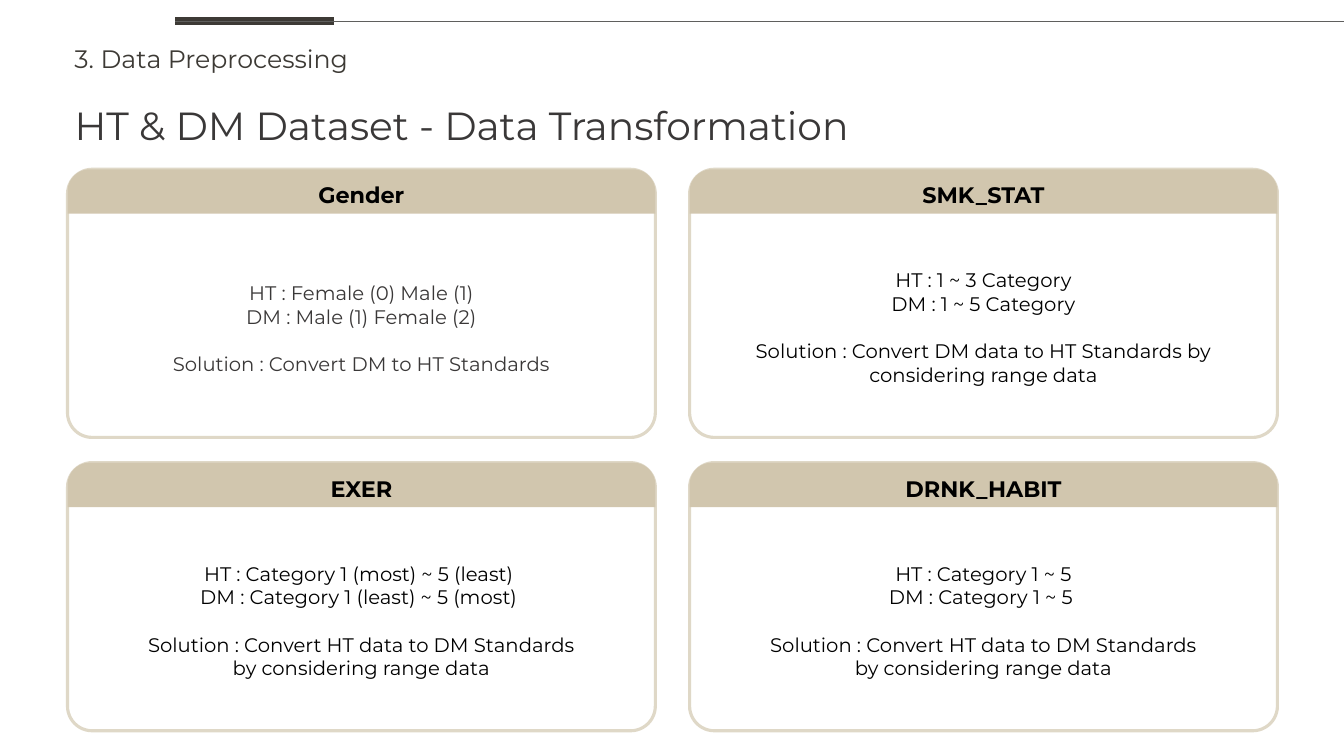
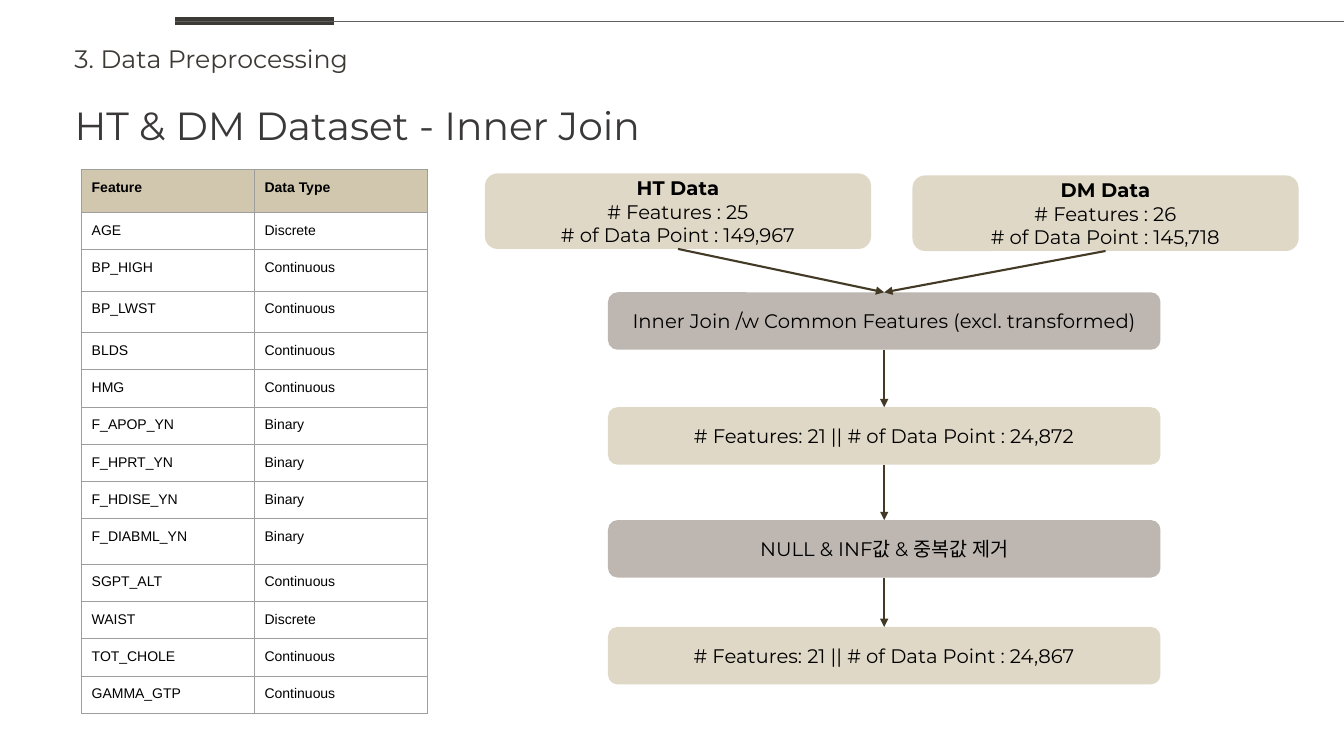
from lxml import etree
from pptx import Presentation
from pptx.dml.color import RGBColor
from pptx.enum import shapes, text
from pptx.oxml import ns
from pptx.util import Inches, Pt


class Theme:
    font, table_font = "Montserrat", "Arial"
    ink, title, dark = "000000", "3A3838", "3D3A35"
    rule, arrow, grid = "5F5F5D", "433A26", "9E9E9E"
    white, sand, tan, taupe = "FFFFFF", "DFD8C7", "D1C6AE", "BEB7B1"
    title_size, section_size, heading_size, body_size, table_size = 28, 18, 16, 14, 10


SECTION = "3. Data Preprocessing"

CARDS = [
    ("Gender", ["HT : Female (0) Male (1)", "DM : Male (1) Female (2)"],
     ["Solution : Convert DM to HT Standards"], Theme.title, 1.04),
    ("SMK_STAT", ["HT : 1 ~ 3 Category", "DM : 1 ~ 5 Category"],
     ["Solution : Convert DM data to HT Standards by considering range data"], Theme.ink, 0.91),
    ("EXER", ["HT : Category 1 (most) ~ 5 (least) ", "DM : Category 1 (least) ~ 5 (most) "],
     ["Solution : Convert HT data to DM Standards", "by considering range data"], Theme.ink, 0.91),
    ("DRNK_HABIT", ["HT : Category 1 ~ 5", "DM : Category 1 ~ 5 "],
     ["Solution : Convert HT data to DM Standards", "by considering range data"], Theme.ink, 0.91),
]

FEATURES = [
    ("Feature", "Data Type"),
    ("AGE", "Discrete"),
    ("BP_HIGH", "Continuous"),
    ("BP_LWST", "Continuous"),
    ("BLDS", "Continuous"),
    ("HMG", "Continuous"),
    ("F_APOP_YN", "Binary"),
    ("F_HPRT_YN", "Binary"),
    ("F_HDISE_YN", "Binary"),
    ("F_DIABML_YN", "Binary"),
    ("SGPT_ALT", "Continuous"),
    ("WAIST", "Discrete"),
    ("TOT_CHOLE", "Continuous"),
    ("GAMMA_GTP", "Continuous"),
]
ROW_HEIGHT = 0.37
TALL_ROWS = {0: 0.43, 2: 0.41, 3: 0.41, 9: 0.45}

DATASETS = [
    (4.81, 1.72, ["HT Data", "# Features : 25", "# of Data Point : 149,967"]),
    (9.05, 1.74, ["DM Data", "# Features : 26", "# of Data Point : 145,718"]),
]
STEPS = [
    (2.9, Theme.taupe, "Inner Join /w Common Features (excl. transformed)"),
    (4.04, Theme.sand, "# Features: 21 || # of Data Point : 24,872"),
    (5.16, Theme.taupe, "NULL & INF값 & 중복값 제거"),
    (6.22, Theme.sand, "# Features: 21 || # of Data Point : 24,867"),
]


def rgb(color):
    return RGBColor.from_string(color)


def write_text(frame, lines, size=Theme.body_size, color=Theme.ink, font=Theme.font,
               bold_lines=0, align="CENTER", anchor="MIDDLE", insets=(0.1, 0.1, 0.1, 0.1),
               gap_before=None):
    frame.word_wrap = True
    frame.auto_size = text.MSO_AUTO_SIZE.NONE
    frame.vertical_anchor = getattr(text.MSO_ANCHOR, anchor)
    (frame.margin_left, frame.margin_top,
     frame.margin_right, frame.margin_bottom) = map(Inches, insets)
    for index, line in enumerate(lines):
        paragraph = frame.add_paragraph() if index else frame.paragraphs[0]
        paragraph.alignment = getattr(text.PP_ALIGN, align)
        if index and index == gap_before:
            paragraph.space_before = Pt(17)
        run = paragraph.add_run()
        run.text = line
        run.font.name = font
        run.font.size = Pt(size)
        run.font.bold = index < bold_lines
        run.font.color.rgb = rgb(color)


def add_box(slide, kind, place, fill, adjustments, outline=None):
    shape = slide.shapes.add_shape(getattr(shapes.MSO_SHAPE, kind), *map(Inches, place))
    shape.shadow.inherit = False
    shape.fill.solid()
    shape.fill.fore_color.rgb = rgb(fill)
    if outline:
        shape.line.color.rgb = rgb(outline)
        shape.line.width = Pt(2.25)
    else:
        shape.line.fill.background()
    for index, value in enumerate(adjustments):
        shape.adjustments[index] = value
    return shape


def add_line(slide, start, end, color, width):
    line = slide.shapes.add_connector(
        shapes.MSO_CONNECTOR.STRAIGHT, *map(Inches, (*start, *end)))
    line.line.color.rgb = rgb(color)
    line.line.width = Pt(width)
    etree.SubElement(line._element.spPr, ns.qn("a:effectLst"))
    return line


def add_arrow(slide, source, target):
    arrow = add_line(slide, (0, 0), (1, 1), Theme.arrow, 1.5)
    arrow.begin_connect(source, 2)
    arrow.end_connect(target, 0)
    etree.SubElement(arrow.line._get_or_add_ln(), ns.qn("a:tailEnd"), type="triangle")


def add_titled_slide(presentation, title):
    slide = presentation.slides.add_slide(presentation.slide_layouts[5])
    heading = slide.shapes.title
    heading.left, heading.top, heading.width, heading.height = map(
        Inches, (0.64, 0.95, 12.46, 0.57))
    section = slide.shapes.add_textbox(*map(Inches, (0.64, 0.38, 3.05, 0.4)))
    left_text = {"align": "LEFT", "anchor": "TOP", "insets": (0.1, 0.05, 0.1, 0.05)}
    write_text(heading.text_frame, [title], size=Theme.title_size, color=Theme.title, **left_text)
    write_text(section.text_frame, [SECTION], size=Theme.section_size, color=Theme.dark, **left_text)
    add_line(slide, (1.74, 0.21), (3.31, 0.21), Theme.dark, 6)
    add_line(slide, (1.74, 0.21), (13.33, 0.21), Theme.rule, 0.75)
    return slide


def add_card(slide, left, top, heading, categories, solution, color, text_top):
    width = 5.83
    body = add_box(slide, "ROUNDED_RECTANGLE", (left, top, width, 2.66),
                   Theme.white, [0.092], outline=Theme.sand)
    write_text(body.text_frame, categories + solution, color=color, anchor="TOP",
               insets=(0.1, text_top, 0.1, 0.1), gap_before=len(categories))
    band = add_box(slide, "ROUND_2_SAME_RECTANGLE", (left, top, width, 0.44),
                   Theme.tan, [0.5, 0])
    write_text(band.text_frame, [heading], size=Theme.heading_size, bold_lines=1)


def format_cell(cell, value, header):
    properties = cell._tc.get_or_add_tcPr()
    for side in ("lnL", "lnR", "lnT", "lnB"):
        border = etree.SubElement(properties, ns.qn(f"a:{side}"), w=str(Pt(0.75)))
        fill = etree.SubElement(border, ns.qn("a:solidFill"))
        etree.SubElement(fill, ns.qn("a:srgbClr"), val=Theme.grid)
    if header:
        cell.fill.solid()
        cell.fill.fore_color.rgb = rgb(Theme.tan)
    else:
        cell.fill.background()
    cell.vertical_anchor = text.MSO_ANCHOR.TOP
    cell.margin_left = cell.margin_top = cell.margin_right = cell.margin_bottom = Inches(0.1)
    paragraph = cell.text_frame.paragraphs[0]
    run = paragraph.add_run()
    run.text = value
    run.font.name = Theme.table_font
    run.font.size = Pt(Theme.table_size)
    run.font.bold = header
    run.font.color.rgb = rgb(Theme.ink)


def add_feature_table(slide):
    heights = [TALL_ROWS.get(index, ROW_HEIGHT) for index in range(len(FEATURES))]
    table = slide.shapes.add_table(
        len(FEATURES), 2, *map(Inches, (0.81, 1.68, 3.43, sum(heights)))).table
    table.horz_banding = False
    for row_index, values in enumerate(FEATURES):
        table.rows[row_index].height = Inches(heights[row_index])
        for column_index, value in enumerate(values):
            format_cell(table.cell(row_index, column_index), value, row_index == 0)


def add_join_flow(slide):
    steps = []
    for top, fill, label in STEPS:
        step = add_box(slide, "ROUNDED_RECTANGLE", (6.03, top, 5.48, 0.57), fill, [0.167])
        write_text(step.text_frame, [label])
        steps.append(step)
    for left, top, lines in DATASETS:
        dataset = add_box(slide, "ROUNDED_RECTANGLE", (left, top, 3.83, 0.75),
                          Theme.sand, [0.167])
        write_text(dataset.text_frame, lines, bold_lines=1)
        add_arrow(slide, dataset, steps[0])
    for source, target in zip(steps, steps[1:]):
        add_arrow(slide, source, target)


def main():
    presentation = Presentation()
    presentation.slide_width, presentation.slide_height = Inches(13.33), Inches(7.5)

    slide = add_titled_slide(presentation, "HT & DM Dataset - Data Transformation")
    for index, card in enumerate(CARDS):
        row, column = divmod(index, 2)
        add_card(slide, 0.67 + column * 6.17, 1.68 + row * 2.91, *card)

    slide = add_titled_slide(presentation, "HT & DM Dataset - Inner Join")
    add_feature_table(slide)
    add_join_flow(slide)

    presentation.save("out.pptx")


if __name__ == "__main__":
    main()
